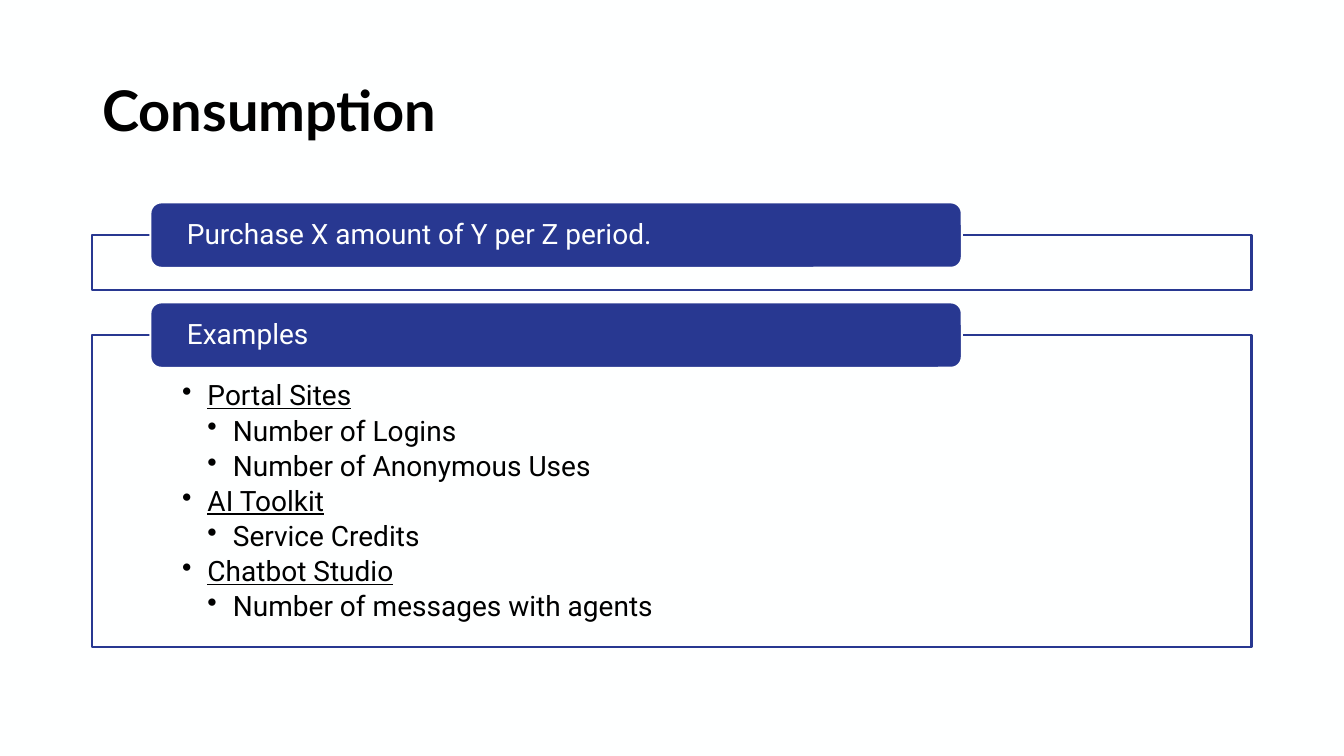
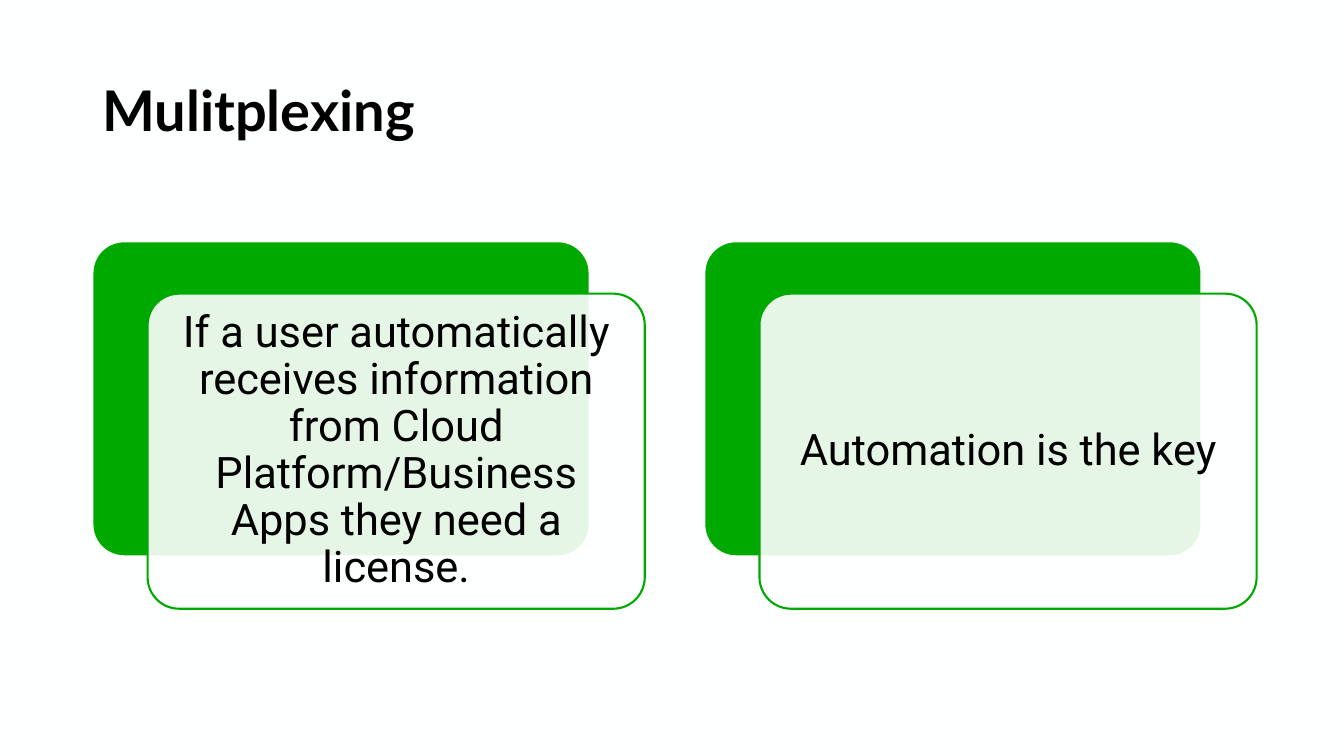
import pptx
import pptx.dml.color
import pptx.enum.shapes
import pptx.enum.text
import pptx.oxml
import pptx.oxml.ns
import pptx.util

Cm = pptx.util.Cm
Pt = pptx.util.Pt
SHAPE = pptx.enum.shapes.MSO_SHAPE
ALIGN = pptx.enum.text.PP_ALIGN
ANCHOR = pptx.enum.text.MSO_ANCHOR

WHITE, BLACK, BLUE, GREEN = "FEFFFF", "000000", "283891", "00A900"
TITLE_FONT, BODY_FONT = "Lato", "Roboto"
LEFT, WIDTH = 2.33, 29.21
TAB_INDENT, TAB_RISE, TAB_WIDTH, TAB_HEIGHT = 1.46, 0.82, 20.45, 1.65
CARD_WIDTH, CARD_HEIGHT, CARD_TOP = 12.53, 7.94, 6.08
CARD_SHIFT_X, CARD_SHIFT_Y, CARD_STEP = 1.39, 1.32, 15.42
BULLET_INDENT = 0.64


def rgb(color):
    """Turn a hex string into a colour."""
    return pptx.dml.color.RGBColor.from_string(color)


def add_box(slide, kind, box, fill, line, alpha=None):
    """Add a filled, outlined shape placed by lengths in centimetres."""
    sp = slide.shapes.add_shape(kind, *map(Cm, box))
    sp.shadow.inherit = False
    sp.fill.solid()
    sp.fill.fore_color.rgb = rgb(fill)
    sp.line.color.rgb = rgb(line)
    sp.line.width = Pt(1.5)
    if alpha is not None:
        color = sp.fill._xPr.find(".//" + pptx.oxml.ns.qn("a:srgbClr"))
        element = pptx.oxml.parse_xml(
            f'<a:alpha {pptx.oxml.ns.nsdecls("a")} val="{alpha * 1000}"/>')
        color.append(element)
    return sp


def set_frame(sp, margin_x, margin_y=0, anchor=ANCHOR.MIDDLE):
    """Set wrapping, insets and anchor, and return the text frame."""
    tf = sp.text_frame
    tf.word_wrap = True
    tf.margin_left = tf.margin_right = Cm(margin_x)
    tf.margin_top = tf.margin_bottom = Cm(margin_y)
    tf.vertical_anchor = anchor
    return tf


def add_text(p, text, size, color, font=BODY_FONT, align=ALIGN.LEFT):
    """Add a run to a paragraph with tightened lines."""
    p.alignment = align
    p.line_spacing = 0.9
    r = p.add_run()
    r.text = text
    r.font.name = font
    r.font.size = Pt(size)
    r.font.color.rgb = rgb(color)
    return r


def add_bullet(p, level):
    """Give a paragraph a hanging bullet at a level counted from zero."""
    p.level = level
    pPr = p._p.get_or_add_pPr()
    pPr.set("marL", str(Cm(BULLET_INDENT * (level + 1))))
    pPr.set("indent", str(-Cm(BULLET_INDENT)))
    pPr.append(pptx.oxml.parse_xml(
        f'<a:buChar {pptx.oxml.ns.nsdecls("a")} char="•"/>'))


def add_slide(prs, title):
    """Add a title-only slide with the shared title style."""
    slide = prs.slides.add_slide(prs.slide_layouts[5])
    sp = slide.shapes.title
    sp.left, sp.top, sp.width, sp.height = map(Cm, (LEFT, 1.02, WIDTH, 3.68))
    tf = set_frame(sp, 0.25, 0.13)
    tf.auto_size = pptx.enum.text.MSO_AUTO_SIZE.NONE
    add_text(tf.paragraphs[0], title, 40, BLACK, TITLE_FONT).font.bold = True
    return slide


def add_section(slide, top, height, heading, items=()):
    """Add an outlined panel with a heading tab and two-level bullets."""
    panel = add_box(slide, SHAPE.RECTANGLE, (LEFT, top, WIDTH, height), WHITE, BLUE, 90)
    tf = set_frame(panel, 2.26, 1.18, ANCHOR.TOP)
    for i, (level, text) in enumerate(items):
        p = tf.add_paragraph() if i else tf.paragraphs[0]
        add_bullet(p, level)
        p.space_after = Pt(3.5)
        add_text(p, text, 20, BLACK).font.underline = level == 0
    tab = add_box(slide, SHAPE.ROUNDED_RECTANGLE,
                  (LEFT + TAB_INDENT, top - TAB_RISE, TAB_WIDTH, TAB_HEIGHT), BLUE, WHITE)
    add_text(set_frame(tab, 0.84).paragraphs[0], heading, 20, WHITE)


def add_card(slide, left, text):
    """Add a text card overlapping a solid backing card."""
    back = add_box(slide, SHAPE.ROUNDED_RECTANGLE,
                   (left, CARD_TOP, CARD_WIDTH, CARD_HEIGHT), GREEN, WHITE)
    front = add_box(slide, SHAPE.ROUNDED_RECTANGLE,
                    (left + CARD_SHIFT_X, CARD_TOP + CARD_SHIFT_Y, CARD_WIDTH, CARD_HEIGHT),
                    WHITE, GREEN, 90)
    for sp in (back, front):
        sp.adjustments[0] = 0.1
    p = set_frame(front, 0.56, 0.3).paragraphs[0]
    add_text(p, text, 31, BLACK, align=ALIGN.CENTER)


def main():
    """Build and save the presentation."""
    prs = pptx.Presentation()
    prs.slide_width, prs.slide_height = Cm(33.87), Cm(19.05)
    background = prs.slide_master.background.fill
    background.solid()
    background.fore_color.rgb = rgb(WHITE)

    slide = add_slide(prs, "Consumption")
    add_section(slide, 5.92, 1.4, "Purchase X amount of Y per Z period.")
    add_section(slide, 8.44, 7.87, "Examples", [
        (0, "Portal Sites"),
        (1, "Number of Logins"),
        (1, "Number of Anonymous Uses"),
        (0, "AI Toolkit"),
        (1, "Service Credits"),
        (0, "Chatbot Studio"),
        (1, "Number of messages with agents"),
    ])

    slide = add_slide(prs, "Mulitplexing")
    cards = [
        "If a user automatically receives information from Cloud "
        "Platform/Business Apps they need a license.",
        "Automation is the key",
    ]
    for i, text in enumerate(cards):
        add_card(slide, LEFT + i * CARD_STEP, text)

    prs.save("out.pptx")


if __name__ == "__main__":
    main()
